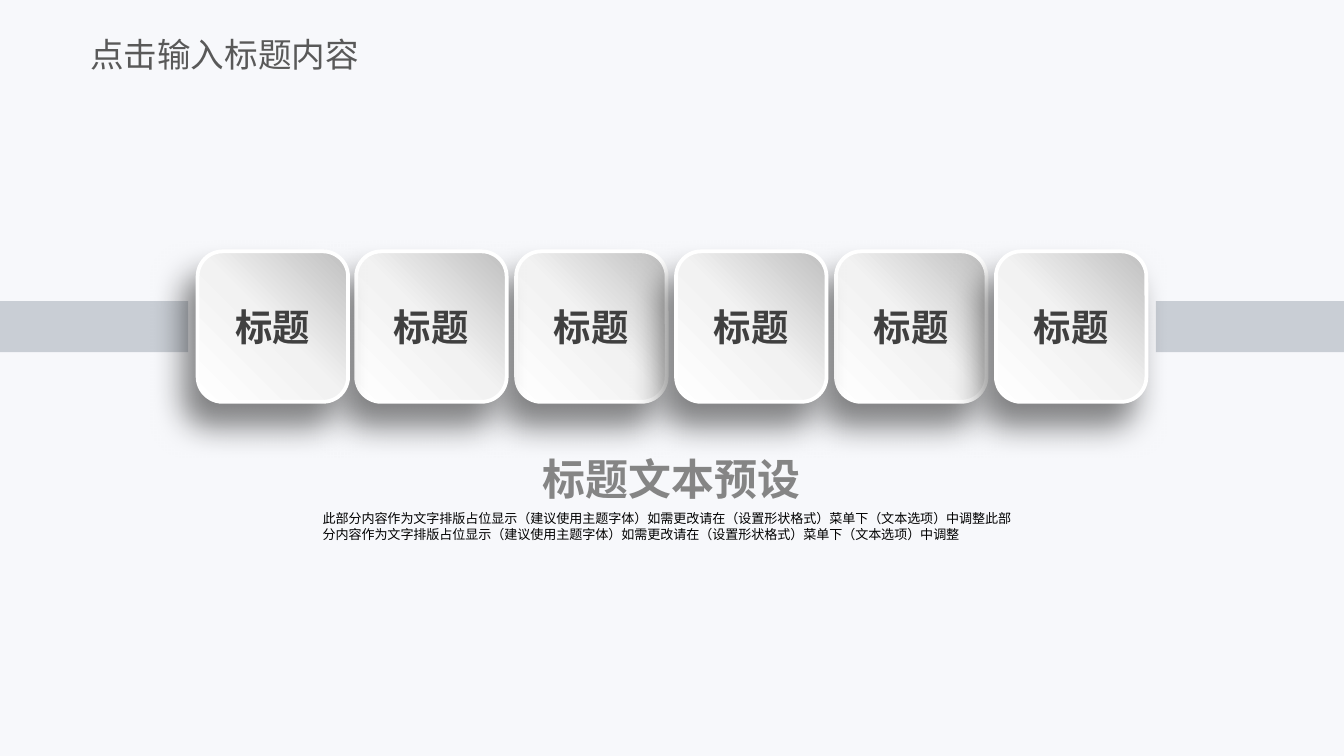
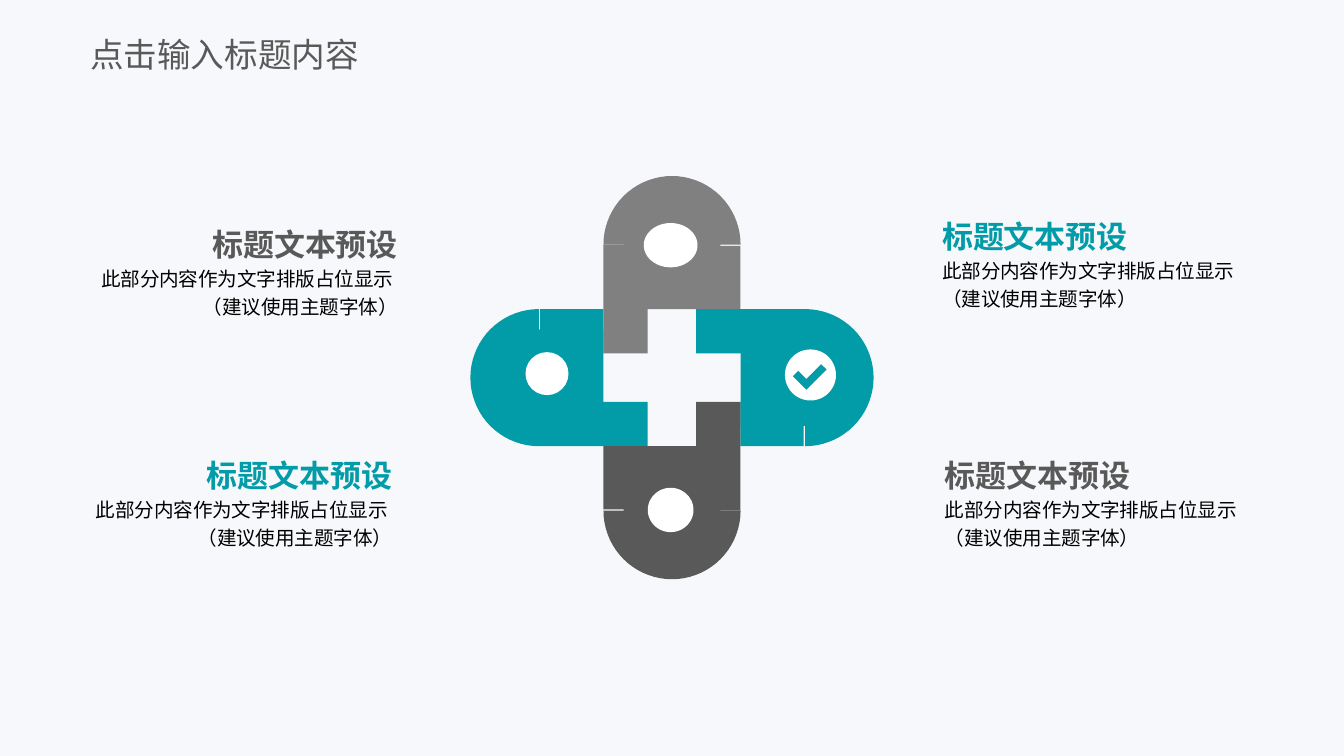
from math import cos, radians, sin

from lxml.etree import SubElement
from pptx import Presentation
from pptx.dml.color import RGBColor
from pptx.enum.shapes import MSO_SHAPE
from pptx.enum.text import MSO_ANCHOR, PP_ALIGN
from pptx.oxml import parse_xml
from pptx.oxml.ns import nsdecls, qn
from pptx.util import Inches, Pt

PX = 9144  # 100 px to the inch
FONT = "Noto Sans CJK SC"
PAPER, BAND, WHITE, BLACK = "F7F8FB", "C9CED5", "FFFFFF", "000000"
TEAL, GREY, DARK, INK, MUTE = "029BA8", "808080", "595959", "404040", "858585"
LEFT, MID, RIGHT = PP_ALIGN.LEFT, PP_ALIGN.CENTER, PP_ALIGN.RIGHT

HEAD = "标题文本预设"
HINT = ["此部分内容作为文字排版占位显示 ", "（建议使用主题字体）"]
NOTE = "此部分内容作为文字排版占位显示（建议使用主题字体）如需更改请在（设置形状格式）菜单下（文本选项）中调整"


def color(code):
    return RGBColor.from_string(code)


def emu(*sizes):
    return [round(size * PX) for size in sizes]


# Shared parts

def write(shape, lines, size, code, bold=False, align=LEFT, space=None):
    para = shape.text_frame.paragraphs[0]
    para.alignment = align
    if space:
        para.line_spacing = space
    for i, line in enumerate(lines):
        if i:
            para.add_line_break()
        run = para.add_run()
        run.text = line
        font = run.font
        font.size, font.bold, font.name = Pt(size), bold, FONT
        font.color.rgb = color(code)
        SubElement(font._element, qn("a:ea"), typeface=FONT)


def label(slide, box, lines, size, code, wrap=True, anchor=MSO_ANCHOR.TOP,
          pad=0, **style):
    shape = slide.shapes.add_textbox(*emu(*box))
    frame = shape.text_frame
    frame.word_wrap, frame.vertical_anchor = wrap, anchor
    frame.margin_left = frame.margin_right = 0
    frame.margin_top = frame.margin_bottom = pad * PX
    write(shape, lines, size, code, **style)


def paint(shape, code):
    shape.shadow.inherit = False
    shape.fill.solid()
    shape.fill.fore_color.rgb = color(code)
    shape.line.fill.background()


def block(slide, box, code, kind=MSO_SHAPE.RECTANGLE):
    paint(slide.shapes.add_shape(kind, *emu(*box)), code)


def outline(slide, points, code):
    first, *rest = [emu(*point) for point in points]
    pen = slide.shapes.build_freeform(*first)
    pen.add_line_segments(rest, close=True)
    paint(pen.convert_to_shape(), code)


def page(deck):
    slide = deck.slides.add_slide(deck.slide_layouts[6])
    return slide


def title(slide):
    label(slide, (67, 19, 233, 42), ["点击输入标题内容"], 18, DARK,
          anchor=MSO_ANCHOR.MIDDLE, pad=5)


# Slide 1: row of tiles

def tile(slide, x, y, side):
    shape = slide.shapes.add_shape(MSO_SHAPE.ROUNDED_RECTANGLE,
                                   *emu(x, y, side, side))
    shape.line.color.rgb, shape.line.width = color(WHITE), Pt(2)
    props = shape._element.spPr
    stops = "".join(
        f'<a:gs pos="{spot}000"><a:srgbClr val="{code}"/></a:gs>'
        for spot, code in ((0, "BFBFBF"), (50, "F2F2F2"), (100, WHITE)))
    props.find(qn("a:ln")).addprevious(parse_xml(
        f'<a:gradFill {nsdecls("a")} rotWithShape="1"><a:gsLst>{stops}</a:gsLst>'
        '<a:lin ang="8100000" scaled="0"/></a:gradFill>'))
    props.append(parse_xml(
        f'<a:effectLst {nsdecls("a")}><a:outerShdw blurRad="{Pt(17)}" '
        f'dist="{Pt(14)}" dir="7200000" algn="ctr" rotWithShape="0">'
        '<a:srgbClr val="0D0D0D"><a:alpha val="50000"/></a:srgbClr>'
        '</a:outerShdw></a:effectLst>'))
    shape.text_frame.vertical_anchor = MSO_ANCHOR.MIDDLE
    write(shape, ["标题"], 20, INK, bold=True, align=MID)


def row(slide, x, y, width, side, count=6):
    # Stacking order decides which tile a shadow falls on
    for i in (4, 2, 3, 1, 5, 0):
        tile(slide, x + (width - side) * i // (count - 1), y, side)


def caption(slide, x, y, width):
    label(slide, (x, y + 43, width, 34), [NOTE * 2], 7, BLACK)
    label(slide, (x, y, width, 44), [HEAD], 23, MUTE, wrap=False,
          bold=True, align=MID)


def tiles(deck):
    slide = page(deck)
    for x in (0, 860):
        block(slide, (x, 224, 140, 38), BAND)
    row(slide, 147, 187, 706, 112)
    caption(slide, 240, 337, 519)
    title(slide)


# Slide 2: cross of four arms

def arm(slide, x, y, turn, code):
    """Draw the arm that points right, after so many clockwise quarter turns."""
    def spin(across, down):
        for _ in range(turn):
            across, down = -down, across
        return x + across, y + down

    def arc(radius, angles):
        return [spin(99 + radius * cos(radians(a)), radius * sin(radians(a)))
                for a in angles]

    # Half ring at the end
    outline(slide, arc(51, range(-90, 91, 5)) + arc(18, range(90, -91, -5)), code)
    # Long bar, short bar and core
    for x1, y1, x2, y2 in ((18, -51, 99, -18), (51, 18, 98, 51), (51, -36, 123, 36)):
        (ax, ay), (bx, by) = spin(x1, y1), spin(x2, y2)
        block(slide, (min(ax, bx), min(ay, by), abs(bx - ax), abs(by - ay)), code)


def cross(slide, x, y):
    for turn, code in ((0, TEAL), (2, TEAL), (3, GREY), (1, DARK)):
        arm(slide, x, y, turn, code)
    # Plain badges
    for dx, dy, width, height in ((-109, -19, 32, 32), (-21, -115, 40, 33),
                                  (-18, 82, 34, 33), (84, -21, 38, 38)):
        block(slide, (x + dx, y + dy, width, height), WHITE, MSO_SHAPE.OVAL)
    # Tick on the right badge
    tick = ((90, -1), (94, -5), (100, 1), (111, -10), (115, -6), (100, 9))
    outline(slide, [(x + dx, y + dy) for dx, dy in tick], TEAL)


def entry(slide, x, y, width, code, align):
    label(slide, (x, y, width, 23), [HEAD], 16.6, code, wrap=False,
          bold=True, align=align)
    label(slide, (x, y + 23, width, 50), HINT, 10.5, BLACK,
          anchor=MSO_ANCHOR.MIDDLE, align=align, space=1.2)


def arms(deck):
    slide = page(deck)
    cross(slide, 500, 281)
    entry(slide, 701, 162, 238, TEAL, LEFT)
    entry(slide, 703, 340, 239, DARK, LEFT)
    entry(slide, 58, 168, 238, DARK, RIGHT)
    entry(slide, 58, 340, 234, TEAL, RIGHT)
    title(slide)


def main():
    deck = Presentation()
    deck.slide_width, deck.slide_height = Inches(10), Inches(5.625)
    fill = deck.slide_master.background.fill
    fill.solid()
    fill.fore_color.rgb = color(PAPER)
    tiles(deck)
    arms(deck)
    deck.save("out.pptx")


if __name__ == "__main__":
    main()
